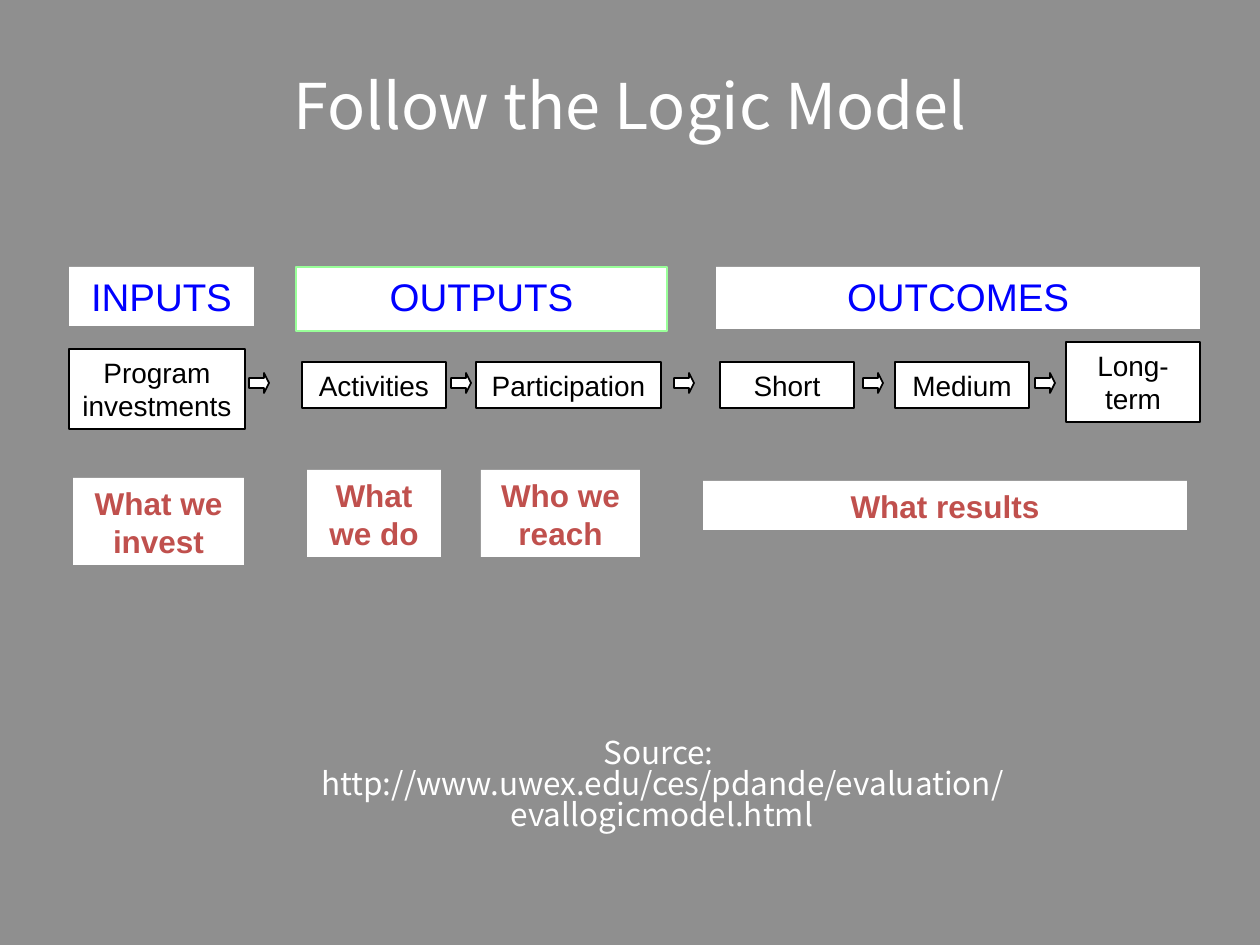
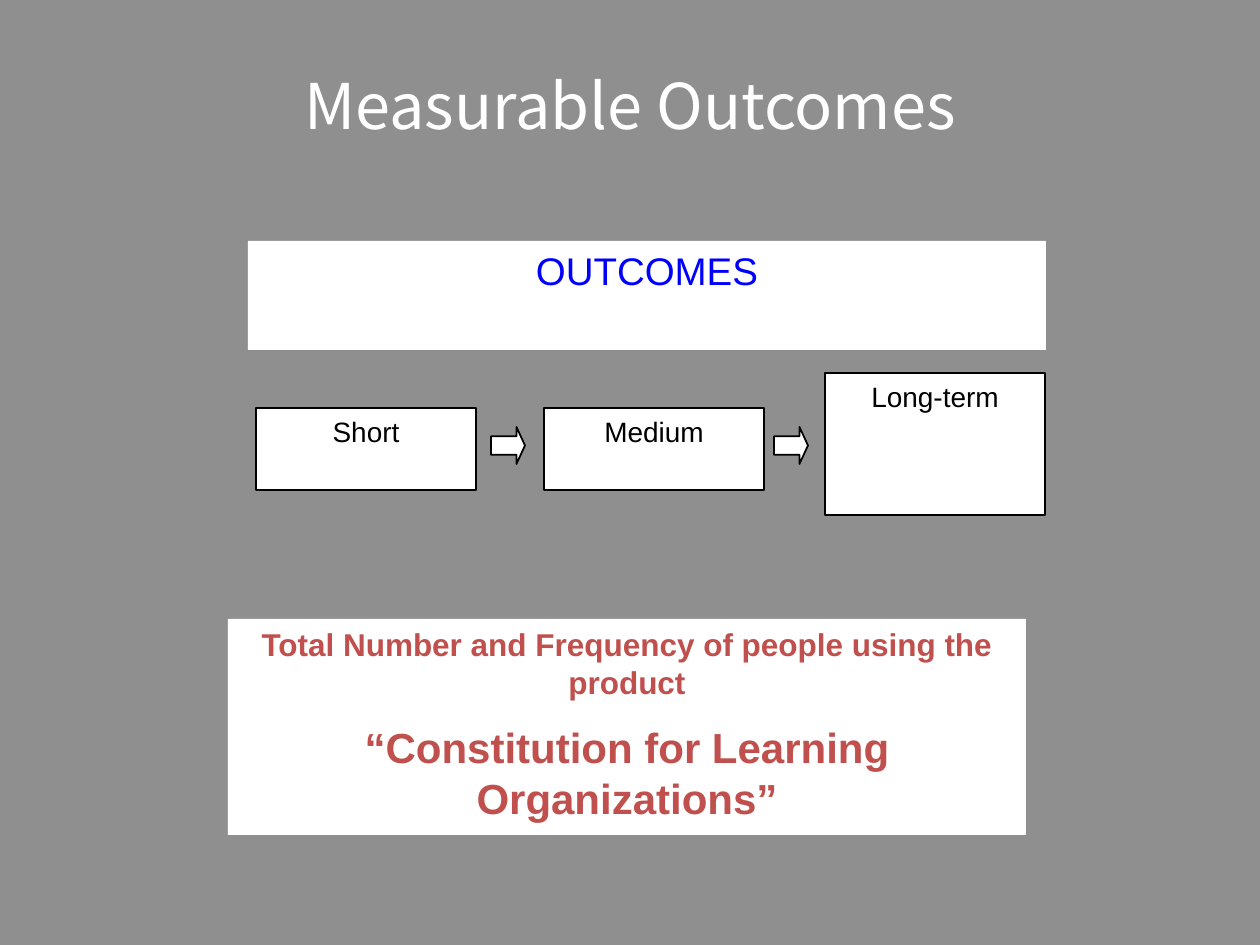
from pptx import Presentation
from pptx.dml.color import RGBColor
from pptx.enum.shapes import MSO_SHAPE as Shape
from pptx.enum.text import MSO_ANCHOR as Anchor, MSO_AUTO_SIZE as AutoSize, PP_ALIGN as Align
from pptx.util import Pt

# Shared look
PX = 914400 / 126
WHITE = RGBColor(0xFF, 0xFF, 0xFF)
BLACK = RGBColor(0, 0, 0)
GRAY = RGBColor(0x8F, 0x8F, 0x8F)
BLUE = RGBColor(0, 0, 0xFF)
RED = RGBColor(0xC0, 0x50, 0x4D)
GREEN = RGBColor(0x99, 0xFF, 0x99)
SANS = "Arial"
DISPLAY = "Noto Sans CJK SC"
HEADING = dict(size=22, color=BLUE)
STEP = dict(size=16, color=BLACK)
QUESTION = dict(size=18, color=RED, bold=True)
TITLE_AREA = (141, 25, 978, 158)


def px(*lengths):
    return [round(length * PX) for length in lengths]


def write(frame, text, size, color, font=SANS, bold=False, anchor=Anchor.TOP,
          spacing=None, before=0, append=False):
    """Add one centred paragraph to a text frame."""
    frame.word_wrap = True
    frame.auto_size = AutoSize.NONE
    frame.vertical_anchor = anchor
    para = frame.add_paragraph() if append else frame.paragraphs[0]
    para.alignment = Align.CENTER
    para.space_before = Pt(before)
    if spacing:
        para.line_spacing = spacing
    span = para.add_run()
    span.text = text
    span.font.name = font
    span.font.size = Pt(size)
    span.font.bold = bold
    span.font.color.rgb = color


def add_white_shape(page, kind, area, outline=None):
    shape = page.shapes.add_shape(kind, *px(*area))
    shape.shadow.inherit = False
    shape.fill.solid()
    shape.fill.fore_color.rgb = WHITE
    if outline is None:
        shape.line.fill.background()
    else:
        shape.line.color.rgb = outline
        shape.line.width = Pt(1)
    return shape


def add_box(page, text, area, outline=None, **style):
    box = add_white_shape(page, Shape.RECTANGLE, area, outline)
    write(box.text_frame, text, **style)
    return box


def add_arrows(page, lefts, top, width, height):
    for left in lefts:
        arrow = add_white_shape(page, Shape.RIGHT_ARROW, (left, top, width, height), BLACK)
        arrow.adjustments[0] = 0.5
        arrow.adjustments[1] = 0.25


def add_page(deck, title):
    page = deck.slides.add_slide(deck.slide_layouts.get_by_name("Title Only"))
    holder = page.shapes.title
    holder.left, holder.top, holder.width, holder.height = px(*TITLE_AREA)
    write(holder.text_frame, title, 36, WHITE, font=DISPLAY, anchor=Anchor.MIDDLE)
    return page


def build_logic_model(deck):
    page = add_page(deck, "Follow the Logic Model")

    # Column headings
    for text, left, width, height, outline in (
        ("INPUTS", 69, 185, 59, None),
        ("OUTPUTS", 296, 371, 64, GREEN),
        ("OUTCOMES", 716, 484, 62, None),
    ):
        add_box(page, text, (left, 267, width, height), outline, **HEADING)

    # Chain of steps
    add_box(page, "Program investments", (69, 349, 176, 80), BLACK,
            anchor=Anchor.MIDDLE, **STEP)
    for text, left, width in (
        ("Activities", 302, 144),
        ("Participation", 476, 185),
        ("Short", 720, 134),
        ("Medium", 895, 134),
    ):
        add_box(page, text, (left, 362, width, 46), BLACK, **STEP)
    add_box(page, "Long-term", (1066, 342, 134, 80), BLACK, **STEP)
    add_arrows(page, (249, 451, 674, 863, 1035), 373, 20, 20)

    # Question behind each column
    for text, *area in (
        ("What we invest", 73, 478, 171, 87),
        ("What we do", 307, 470, 134, 87),
        ("Who we reach", 481, 470, 159, 87),
        ("What results", 703, 481, 484, 49),
    ):
        add_box(page, text, area, **QUESTION)

    # Source note
    note = page.shapes.add_textbox(*px(173, 707, 978, 158)).text_frame
    note_style = dict(size=18, color=WHITE, font=DISPLAY, anchor=Anchor.MIDDLE, spacing=0.83)
    write(note, "Source: ", **note_style)
    write(note, "http://www.uwex.edu/ces/pdande/evaluation/evallogicmodel.html",
          append=True, **note_style)


def build_outcomes(deck):
    page = add_page(deck, "Measurable Outcomes")
    add_box(page, "OUTCOMES", (248, 241, 798, 109), **HEADING)

    # Chain of outcomes
    for text, left, top, height in (
        ("Short", 256, 408, 82),
        ("Medium", 544, 408, 82),
        ("Long-term", 825, 373, 142),
    ):
        add_box(page, text, (left, top, 220, height), BLACK, **STEP)
    add_arrows(page, (491, 774), 427, 34, 37)

    # Measure
    measure = add_box(page, "Total Number and Frequency of people using the product",
                      (228, 619, 798, 216), **QUESTION)
    write(measure.text_frame, "“Constitution for Learning Organizations”",
          append=True, before=12, **{**QUESTION, "size": 24})


def main():
    deck = Presentation()
    deck.slide_width, deck.slide_height = px(1260, 945)
    backdrop = deck.slide_master.background.fill
    backdrop.solid()
    backdrop.fore_color.rgb = GRAY
    build_logic_model(deck)
    build_outcomes(deck)
    deck.save("out.pptx")


if __name__ == "__main__":
    main()
